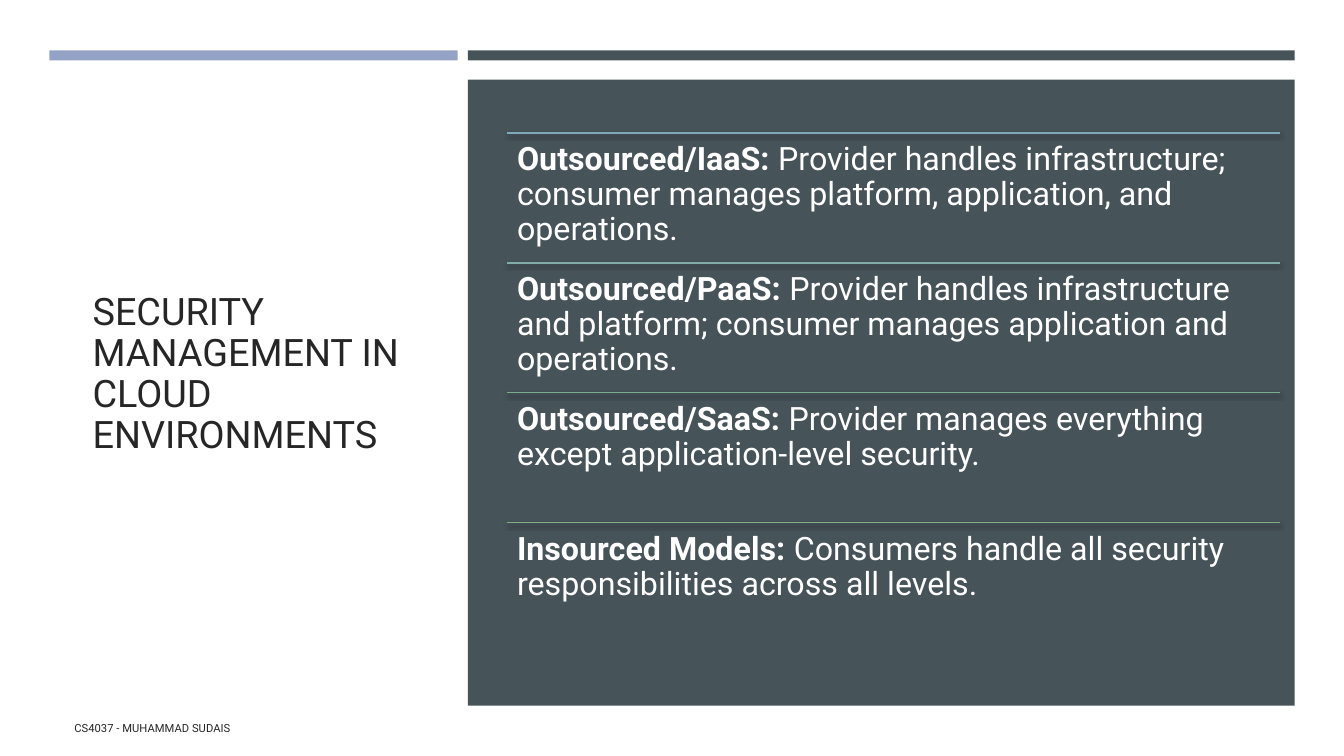
from lxml import etree
from pptx import Presentation
from pptx.dml.color import RGBColor
from pptx.enum.shapes import MSO_CONNECTOR, MSO_SHAPE
from pptx.enum.text import MSO_ANCHOR
from pptx.oxml.ns import qn
from pptx.util import Inches, Pt

COLORS = {
    "white": "FFFFFF",
    "title": "262626",
    "accent": "94A3C5",
    "panel": "465359",
    "shadow": "000000",
}
MODELS = [
    ("Outsourced/IaaS:", " Provider handles infrastructure; consumer manages "
     "platform, application, and operations.", "7FAABA"),
    ("Outsourced/PaaS:", " Provider handles infrastructure and platform; "
     "consumer manages application and operations.", "82ACA6"),
    ("Outsourced/SaaS:", " Provider manages everything except "
     "application-level security.", "77AE8F"),
    ("Insourced Models:", " Consumers handle all security responsibilities "
     "across all levels.", "81AD82"),
]


def add_text(s, box, runs, size, color, anchor=MSO_ANCHOR.TOP, inset=0.05,
             line_spacing=1.0, space_after=0):
    """Place one paragraph; runs is a list of (text, bold) pairs."""
    tf = s.shapes.add_textbox(*map(Inches, box)).text_frame
    tf.word_wrap = True
    tf.vertical_anchor = anchor
    tf.margin_left = tf.margin_right = Inches(0.1)
    tf.margin_top = tf.margin_bottom = Inches(inset)
    p = tf.paragraphs[0]
    p.line_spacing = line_spacing
    p.space_after = Pt(space_after)
    for text, bold in runs:
        r = p.add_run()
        r.text = text
        r.font.name = "Roboto"
        r.font.size = Pt(size)
        r.font.bold = bold
        r.font.color.rgb = RGBColor.from_string(COLORS[color])


def add_block(s, box, color):
    sp = s.shapes.add_shape(MSO_SHAPE.RECTANGLE, *map(Inches, box))
    sp.shadow.inherit = False
    sp.fill.solid()
    sp.fill.fore_color.rgb = RGBColor.from_string(COLORS[color])
    sp.line.fill.background()


def add_rule(s, x, y, w, color):
    """Thin horizontal line with a soft shadow below it."""
    line = s.shapes.add_connector(MSO_CONNECTOR.STRAIGHT, Inches(x), Inches(y),
                                  Inches(x + w), Inches(y))
    line.line.width = Pt(1)
    line.line.color.rgb = RGBColor.from_string(color)
    effects = etree.SubElement(line._element.spPr, qn("a:effectLst"))
    shadow = etree.SubElement(effects, qn("a:outerShdw"), blurRad=str(Pt(3)),
                              dist=str(Pt(2)), dir="5400000", rotWithShape="0")
    tint = etree.SubElement(shadow, qn("a:srgbClr"), val=COLORS["shadow"])
    etree.SubElement(tint, qn("a:alpha"), val="55000")


def add_title_column(s, x, y, w, h):
    add_block(s, (x, y, w, 0.1), "accent")
    add_text(s, (x + 0.33, y + 0.64, 3.34, 5.15),
             [("SECURITY MANAGEMENT IN CLOUD ENVIRONMENTS", False)], 27, "title",
             anchor=MSO_ANCHOR.MIDDLE, line_spacing=0.9)
    add_text(s, (x + 0.15, y + h + 0.02, 7.56, 0.4),
             [("CS4037 - MUHAMMAD SUDAIS", False)], 8, "title",
             anchor=MSO_ANCHOR.MIDDLE, space_after=6)


def add_models_panel(s, x, y, w, h):
    add_block(s, (x, y, w, 0.1), "panel")
    add_block(s, (x, y + 0.29, w, h - 0.29), "panel")
    # Equal rows, each opened by a rule
    row_x, row_y, row_w = x + 0.39, y + 0.82, w - 0.53
    row_h = 5.15 / len(MODELS)
    for i, (name, duty, color) in enumerate(MODELS):
        top = row_y + i * row_h
        add_rule(s, row_x, top, row_w, color)
        add_text(s, (row_x, top, row_w, row_h), [(name, True), (duty, False)],
                 23, "white", inset=0.1, line_spacing=0.9)


def main():
    prs = Presentation()
    prs.slide_width, prs.slide_height = Inches(13.33), Inches(7.5)
    s = prs.slides.add_slide(prs.slide_layouts[6])
    add_block(s, (0, 0, 13.33, 7.5), "white")
    add_title_column(s, 0.49, 0.5, 4.05, 6.5)
    add_models_panel(s, 4.64, 0.5, 8.2, 6.5)
    prs.save("out.pptx")


if __name__ == "__main__":
    main()
